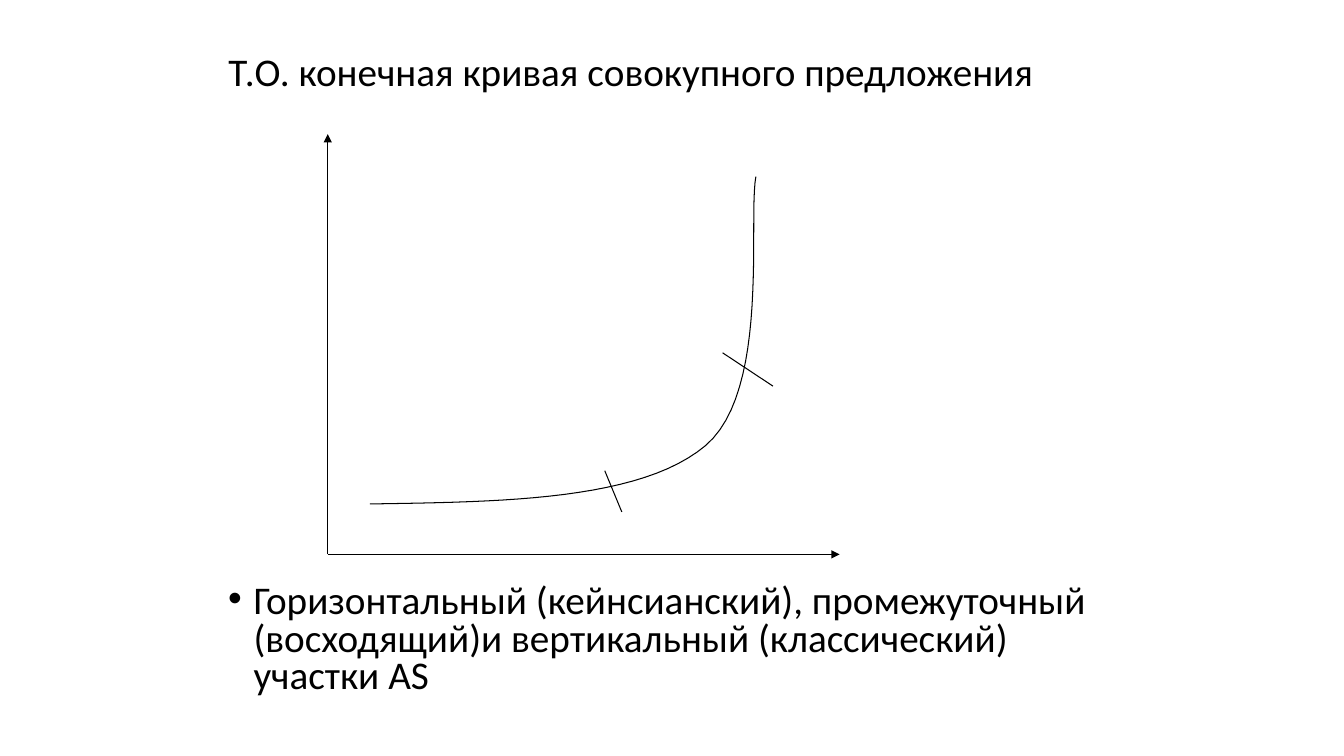
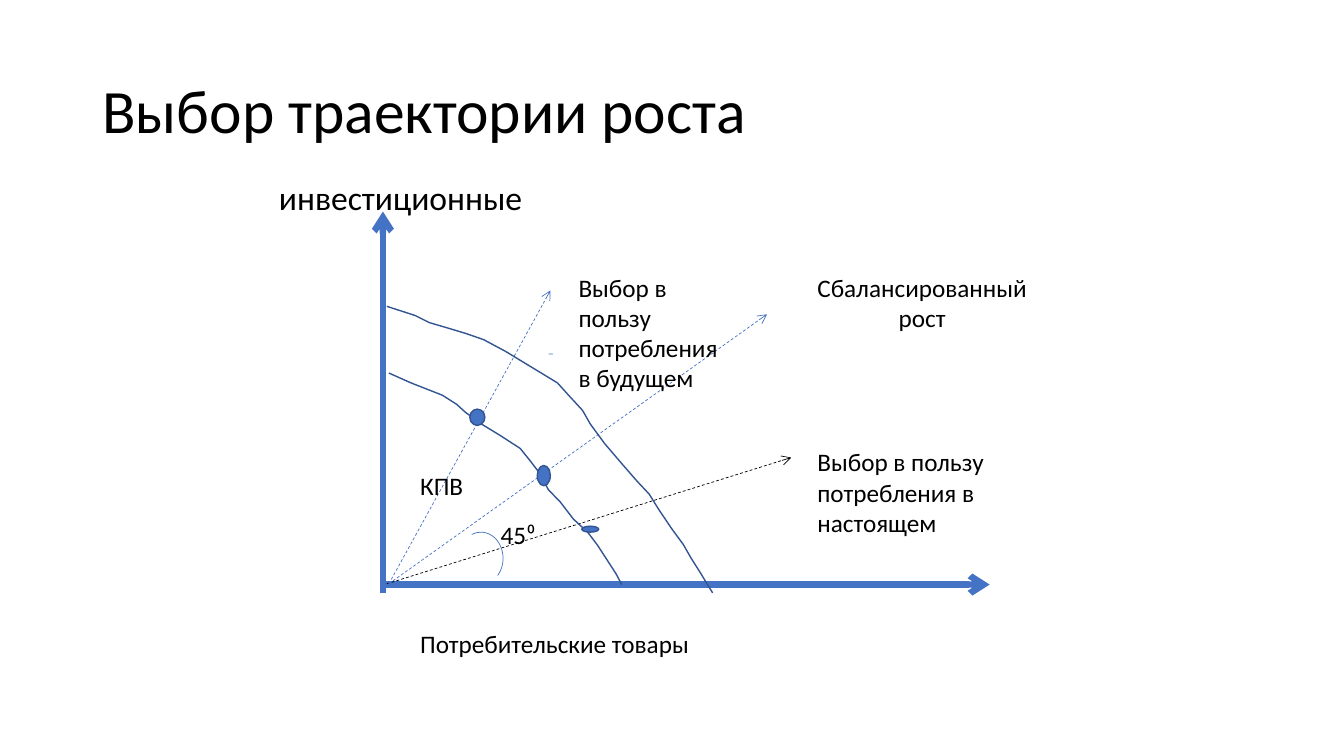
from lxml.etree import SubElement
from pptx import Presentation
from pptx.dml.color import RGBColor
from pptx.enum.dml import MSO_LINE
from pptx.enum.shapes import MSO_CONNECTOR, MSO_SHAPE as Kind
from pptx.enum.text import MSO_ANCHOR as Anchor, MSO_AUTO_SIZE as Fit, PP_ALIGN as Align
from pptx.oxml.ns import qn
from pptx.util import Cm, Pt

BLACK, BLUE, NAVY = "000000", "4472C4", "325491"
FONT = "Calibri"
paint = RGBColor.from_string


def write(frame, text, size, space=1.0, align=Align.LEFT):
    frame.word_wrap = True
    frame.auto_size = Fit.NONE
    frame.text = text
    para = frame.paragraphs[0]
    para.alignment = align
    para.line_spacing = space
    font = para.runs[0].font
    font.name, font.size = FONT, Pt(size)
    font.color.rgb = paint(BLACK)
    return para


def bend(start, *arcs, steps=24):
    """Return points along a chain of cubic Bezier arcs."""
    points = [start]
    for a, b, end in arcs:
        first = points[-1]
        for step in range(1, steps + 1):
            t = step / steps
            u = 1 - t
            points.append(tuple(
                u**3 * p + 3 * u**2 * t * q + 3 * u * t**2 * r + t**3 * s
                for p, q, r, s in zip(first, a, b, end)))
    return points


deck = Presentation()
deck.slide_width, deck.slide_height = Cm(33.87), Cm(19.05)

# Slides and titles
titles = [
    ("Т.О. конечная кривая совокупного предложения", 28, (5.5, 0.76, 22.86, 2.18)),
    ("Выбор траектории роста", 44, (2.33, 1.01, 29.21, 3.68)),
]
for text, size, box in titles:
    title = deck.slides.add_slide(deck.slide_layouts[5]).shapes.title
    title.left, title.top, title.width, title.height = map(Cm, box)
    write(title.text_frame, text, size, 0.9)
    title.text_frame.vertical_anchor = Anchor.MIDDLE
supply, growth = (slide.shapes for slide in deck.slides)

# Axes, rays and ticks
lines = [
    (supply, (8.26, 13.97, 8.26, 3.38), BLACK, 0.75, False, "triangle"),
    (supply, (8.26, 13.97, 21.16, 13.97), BLACK, 0.75, False, "triangle"),
    (supply, (15.24, 11.86, 15.67, 12.9), BLACK, 0.75, False, None),
    (supply, (18.21, 8.89, 19.48, 9.73), BLACK, 0.75, False, None),
    (growth, (9.65, 14.94, 9.65, 5.33), BLUE, 4.5, False, "arrow"),
    (growth, (9.73, 14.73, 24.94, 14.73), BLUE, 4.5, False, "arrow"),
    (growth, (9.75, 14.71, 19.94, 11.53), BLACK, 0.5, True, "arrow"),
    (growth, (9.8, 14.71, 19.33, 7.92), BLUE, 0.5, True, "arrow"),
    (growth, (9.8, 14.71, 13.87, 7.32), BLUE, 0.5, True, "arrow"),
]
for shapes, ends, color, width, dashed, tip in lines:
    link = shapes.add_connector(MSO_CONNECTOR.STRAIGHT, *map(Cm, ends))
    link.line.color.rgb = paint(color)
    link.line.width = Pt(width)
    if dashed:
        link.line.dash_style = MSO_LINE.DASH
    props = link.element.spPr
    if tip:
        SubElement(props.find(qn("a:ln")), qn("a:tailEnd"), type=tip)
    SubElement(props, qn("a:effectLst"))

# Curves
bow = bend((9.32, 12.7),
           ((12.73, 12.65), (16.15, 12.6), (17.78, 11.23)),
           ((19.41, 9.86), (18.85, 5.56), (19.05, 4.45)))
inner = [
    (9.8, 9.4), (10.36, 9.65), (11.15, 9.96), (11.51, 10.19), (11.73, 10.39),
    (12.14, 10.69), (12.6, 10.97), (13.11, 11.3), (13.36, 11.61), (13.59, 11.91),
    (13.82, 12.34), (14.12, 12.65), (14.45, 13.08), (14.81, 13.41),
    (15.06, 13.74), (15.39, 14.25), (15.52, 14.45), (15.67, 14.73),
]
outer = [
    (9.75, 7.72), (10.46, 7.95), (10.82, 8.13), (11.33, 8.28), (11.76, 8.41),
    (12.19, 8.56), (12.75, 8.86), (13.26, 9.17), (13.72, 9.45), (14.05, 9.65),
    (14.33, 9.96), (14.68, 10.34), (14.88, 10.69), (15.24, 11.18),
    (15.65, 11.66), (16.05, 12.12), (16.36, 12.45), (16.61, 12.85),
    (16.94, 13.34), (17.22, 13.72), (17.42, 14.07), (17.65, 14.43),
    (17.83, 14.73), (17.96, 14.94),
]
for shapes, points, color, width in [
    (supply, bow, BLACK, 0.75), (growth, inner, NAVY, 1), (growth, outer, NAVY, 1),
]:
    spots = [(Cm(x), Cm(y)) for x, y in points]
    pen = shapes.build_freeform(*spots[0])
    pen.add_line_segments(spots[1:], close=False)
    curve = pen.convert_to_shape()
    curve.shadow.inherit = False
    curve.fill.background()
    curve.line.color.rgb = paint(color)
    curve.line.width = Pt(width)

# Angle marks
for box, turns in [
    ((9.73, 8.92, 8.2, 5.21), (162, 163.41)),
    ((11.56, 13.41, 1.12, 1.32), (149.43, 27.45)),
]:
    arc = growth.add_shape(Kind.ARC, *map(Cm, box))
    arc.adjustments[0], arc.adjustments[1] = turns
    arc.shadow.inherit = False
    arc.fill.background()
    arc.line.color.rgb = paint(BLUE)
    arc.line.width = Pt(0.5)

# Points where the rays meet the inner curve
for box in [
    (11.84, 10.31, 0.38, 0.41), (13.54, 11.73, 0.33, 0.51), (14.66, 13.26, 0.43, 0.15),
]:
    dot = growth.add_shape(Kind.FLOWCHART_CONNECTOR, *map(Cm, box))
    dot.shadow.inherit = False
    dot.fill.solid()
    dot.fill.fore_color.rgb = paint(BLUE)
    dot.line.color.rgb = paint(NAVY)
    dot.line.width = Pt(1)

# Labels
labels = [
    ("инвестиционные", 24, 0.9, Align.LEFT, (6.78, 4.45, 8, 1.2)),
    ("Потребительские товары", 18, 1.0, Align.LEFT, (10.34, 15.72, 14.4, 1.02)),
    ("КПВ", 18, 1.0, Align.LEFT, (10.34, 11.73, 3, 1.02)),
    ("Выбор в пользу потребления в настоящем", 18, 1.0, Align.LEFT,
     (20.35, 11.13, 7.01, 2.57)),
    ("Сбалансированный рост", 18, 1.0, Align.CENTER, (19.94, 6.73, 6.6, 1.8)),
    ("Выбор в пользу потребления в будущем", 18, 1.0, Align.LEFT,
     (14.33, 6.73, 4.19, 3.33)),
    ("45⁰", 18, 1.0, Align.LEFT, (12.37, 12.95, 1.57, 1.02)),
]
for text, size, space, align, box in labels:
    write(growth.add_textbox(*map(Cm, box)).text_frame, text, size, space, align)

# Bulleted summary
note = supply.add_textbox(Cm(5.5), Cm(14.6), Cm(22.86), Cm(3.4))
para = write(note.text_frame,
             "Горизонтальный (кейнсианский), промежуточный (восходящий)"
             "и вертикальный (классический) участки AS", 28, 0.8)
props = para._p.get_or_add_pPr()
props.set("marL", str(Cm(0.64)))
props.set("indent", str(-Cm(0.64)))
SubElement(props, qn("a:buFont"), typeface="Arial")
SubElement(props, qn("a:buChar"), char="•")

deck.save("out.pptx")
